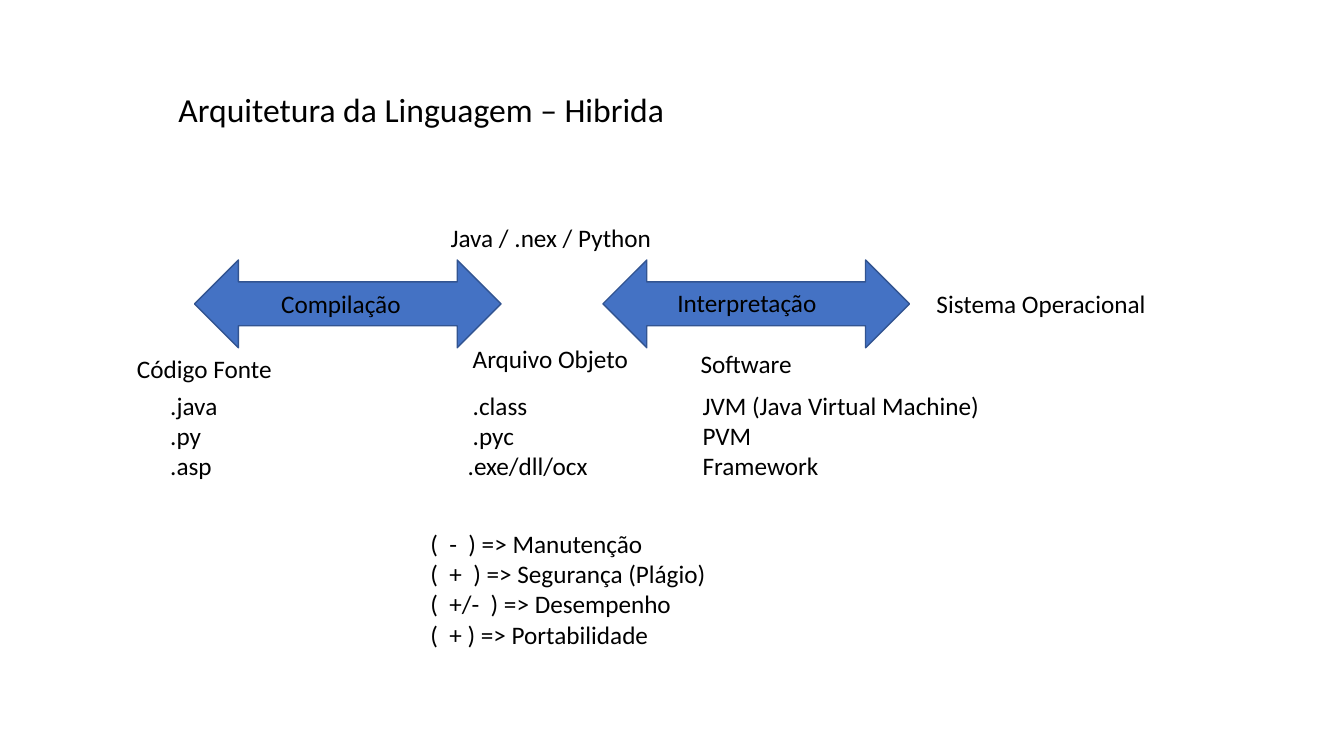
"""Build the slide on the hybrid language architecture."""
from dataclasses import dataclass
from lxml.etree import SubElement
from pptx import Presentation
from pptx.dml.color import RGBColor as RGB
from pptx.enum.shapes import MSO_SHAPE as Shape
from pptx.enum.text import MSO_ANCHOR as Anchor, MSO_AUTO_SIZE as Auto, PP_ALIGN as Align
from pptx.oxml.ns import qn
from pptx.util import Inches, Pt


@dataclass(frozen=True)
class Theme:
    font: str = "Calibri"
    ink: RGB = RGB(0, 0, 0)
    fill: RGB = RGB(0x44, 0x72, 0xC4)
    edge: RGB = RGB(0x32, 0x54, 0x91)
    head: int = 24
    body: int = 18


THEME = Theme()
TITLE = "Arquitetura da Linguagem – Hibrida"
ARROWS = [1.93, 5.98]
LABELS = [
    ("Código Fonte", 1.26, 3.46, 1.55),
    ("Compilação", 2.69, 2.81, 1.4),
    ("Sistema Operacional", 9.19, 2.81, 2.3),
    ("Java / .nex / Python", 4.37, 2.16, 2.19),
    ("Interpretação", 6.62, 2.8, 1.59),
    ("Arquivo Objeto", 4.59, 3.36, 1.76),
    ("Software", 6.85, 3.41, 1.12),
]
TRAITS = [
    "(  -  ) => Manutenção",
    "(  +  ) => Segurança (Plágio)",
    "(  +/-  ) => Desempenho",
    "(  + ) => Portabilidade",
]
FILES = [
    (".java", ".class", "JVM (Java Virtual Machine)"),
    (".py", ".pyc", "PVM"),
    (".asp", ".exe/dll/ocx", "Framework"),
]
STOPS = [(3, 5.28), (3, 5.28), (2.95, 5.28)]


def place(shape, *box):
    shape.left, shape.top, shape.width, shape.height = map(Inches, box)


def write(shape, lines, size=THEME.body, wrap=False, fit=Auto.SHAPE_TO_FIT_TEXT,
          space=None, stops=()):
    frame = shape.text_frame
    frame.text = "\n".join(lines)
    frame.word_wrap = wrap
    frame.auto_size = fit
    frame.vertical_anchor = Anchor.TOP
    for para in frame.paragraphs:
        para.alignment = Align.LEFT
        para.line_spacing = space
        for run in para.runs:
            run.font.name = THEME.font
            run.font.size = Pt(size)
            run.font.color.rgb = THEME.ink
    for para, row in zip(frame.paragraphs, stops):
        tabs = SubElement(para._p.get_or_add_pPr(), qn("a:tabLst"))
        for pos in row:
            SubElement(tabs, qn("a:tab"), pos=str(Inches(pos)), algn="l")


def add_text(slide, lines, box, **form):
    write(slide.shapes.add_textbox(*map(Inches, box)), lines, **form)


def add_arrow(slide, left):
    arrow = slide.shapes.add_shape(
        Shape.LEFT_RIGHT_ARROW, *map(Inches, (left, 2.58, 3.04, 0.87)))
    arrow.shadow.inherit = False
    arrow.fill.solid()
    arrow.fill.fore_color.rgb = THEME.fill
    arrow.line.color.rgb = THEME.edge
    arrow.line.width = Pt(1)


def main():
    deck = Presentation()
    deck.slide_width, deck.slide_height = Inches(13.33), Inches(7.5)
    slide = deck.slides.add_slide(deck.slide_layouts[5])
    title = slide.shapes.title
    place(title, 1.67, 0.88, 10, 4.87)
    write(title, [TITLE], size=THEME.head, wrap=True, fit=Auto.NONE, space=0.9)
    for left in ARROWS:
        add_arrow(slide, left)
    for text, left, top, width in LABELS:
        add_text(slide, [text], (left, top, width, 0.4))
    add_text(slide, TRAITS, (4.17, 5.19, 2.97, 1.31))
    add_text(slide, ["\t".join(row) for row in FILES], (1.59, 3.82, 8.6, 1.01),
             wrap=True, stops=STOPS)
    deck.save("out.pptx")


main()
